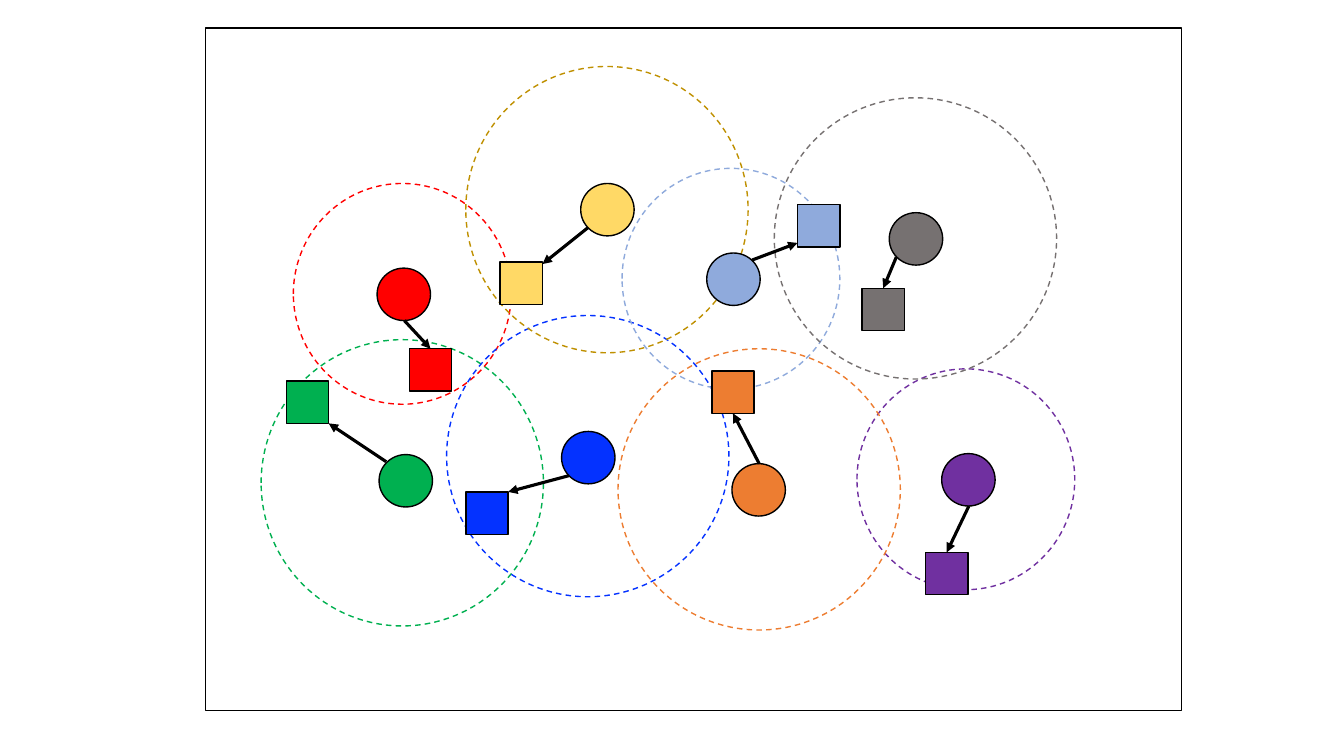
from dataclasses import dataclass

from lxml import etree
from pptx import Presentation
from pptx import util as u
from pptx.dml.color import RGBColor
from pptx.enum import dml, shapes
from pptx.oxml.ns import qn

PX = u.Inches(1) // 100


@dataclass(frozen=True)
class Theme:
    black: str = "000000"
    green: str = "00B050"
    red: str = "FF0000"
    blue: str = "0432FF"
    yellow: str = "FFD966"
    gold: str = "BF9000"
    sky: str = "8FAADC"
    purple: str = "7030A0"
    orange: str = "ED7D31"
    grey: str = "767171"
    outline: float = 1
    arrow: float = 2.25


THEME = Theme()
SLIDE = (1333, 750)
FRAME = (204, 28, 968, 677)
DOT = (53, 52)
SQUARE = (42, 42)
SMALL, LARGE, TALL = (216, 219), (280, 279), (280, 284)

# Points on a dot where an arrow may leave
TOP, BOTTOM = (27, 0), (27, 52)
UPPER_LEFT, UPPER_RIGHT, LOWER_LEFT = (7, 7), (45, 7), (7, 44)
# Points on a square where an arrow may arrive; middles of sides are joined
SQUARE_TOP, SQUARE_BOTTOM = (21, 0), (21, 42)
SIDE_SITES = {SQUARE_TOP: 0, SQUARE_BOTTOM: 2}


@dataclass(frozen=True)
class Cell:
    """One dot with its range ring and target square, placed inside the frame."""
    fill: str
    ring_line: str
    ring_at: tuple
    ring_size: tuple
    dot_at: tuple
    square_at: tuple
    leaves: tuple
    arrives: tuple


CELLS = [
    Cell(THEME.green, THEME.green, (55, 309), TALL, (172, 423), (80, 350), UPPER_LEFT, (42, 42)),
    Cell(THEME.red, THEME.red, (87, 154), SMALL, (170, 238), (202, 318), BOTTOM, SQUARE_TOP),
    Cell(THEME.blue, THEME.blue, (239, 285), LARGE, (353, 400), (258, 460), LOWER_LEFT, (42, 0)),
    Cell(THEME.yellow, THEME.gold, (258, 38), TALL, (372, 154), (292, 232), LOWER_LEFT, (42, 2)),
    Cell(THEME.sky, THEME.sky, (413, 139), SMALL, (497, 223), (587, 175), UPPER_RIGHT, (0, 38)),
    Cell(THEME.purple, THEME.purple, (646, 338), SMALL, (730, 422), (714, 520), BOTTOM, SQUARE_TOP),
    Cell(THEME.orange, THEME.orange, (409, 318), LARGE, (522, 432), (502, 340), TOP, SQUARE_BOTTOM),
    Cell(THEME.grey, THEME.grey, (564, 69), LARGE, (678, 183), (651, 258), LOWER_LEFT, SQUARE_TOP),
]


def offset(a, b):
    return a[0] + b[0], a[1] + b[1]


def add_outline(group, kind, at, size, line, fill=None, dashed=False):
    sp = group.shapes.add_shape(kind, *(v * PX for v in (*at, *size)))
    sp.shadow.inherit = False
    if fill:
        sp.fill.solid()
        sp.fill.fore_color.rgb = RGBColor.from_string(fill)
    else:
        sp.fill.background()
    sp.line.color.rgb = RGBColor.from_string(line)
    sp.line.width = u.Pt(THEME.outline)
    if dashed:
        sp.line.dash_style = dml.MSO_LINE.DASH
    return sp


def add_arrow(group, start, end):
    arrow = group.shapes.add_connector(
        shapes.MSO_CONNECTOR.STRAIGHT, *(v * PX for v in (*start, *end)))
    arrow.line.color.rgb = RGBColor.from_string(THEME.black)
    arrow.line.width = u.Pt(THEME.arrow)
    sp_pr = arrow._element.spPr
    etree.SubElement(sp_pr.find(qn("a:ln")), qn("a:tailEnd"), type="triangle")
    etree.SubElement(sp_pr, qn("a:effectLst"))
    return arrow


def add_cell(group, cell, origin):
    """Draw ring, dot and square; return the square for its arrow."""
    oval, rect = shapes.MSO_SHAPE.OVAL, shapes.MSO_SHAPE.RECTANGLE
    add_outline(group, oval, offset(origin, cell.ring_at), cell.ring_size,
                cell.ring_line, dashed=True)
    add_outline(group, oval, offset(origin, cell.dot_at), DOT, THEME.black, cell.fill)
    return add_outline(group, rect, offset(origin, cell.square_at), SQUARE,
                       THEME.black, cell.fill)


def add_diagram(slide, box):
    group = slide.shapes.add_group_shape()
    origin, size = box[:2], box[2:]
    squares = [add_cell(group, cell, origin) for cell in CELLS]
    for cell, square in zip(CELLS, squares):
        start = offset(offset(origin, cell.dot_at), cell.leaves)
        end = offset(offset(origin, cell.square_at), cell.arrives)
        arrow = add_arrow(group, start, end)
        if cell.arrives in SIDE_SITES:
            arrow.end_connect(square, SIDE_SITES[cell.arrives])
    add_outline(group, shapes.MSO_SHAPE.RECTANGLE, origin, size, THEME.black)


def main():
    prs = Presentation()
    prs.slide_width, prs.slide_height = (v * PX for v in SLIDE)
    slide = prs.slides.add_slide(prs.slide_layouts[6])
    add_diagram(slide, FRAME)
    prs.save("out.pptx")


if __name__ == "__main__":
    main()
